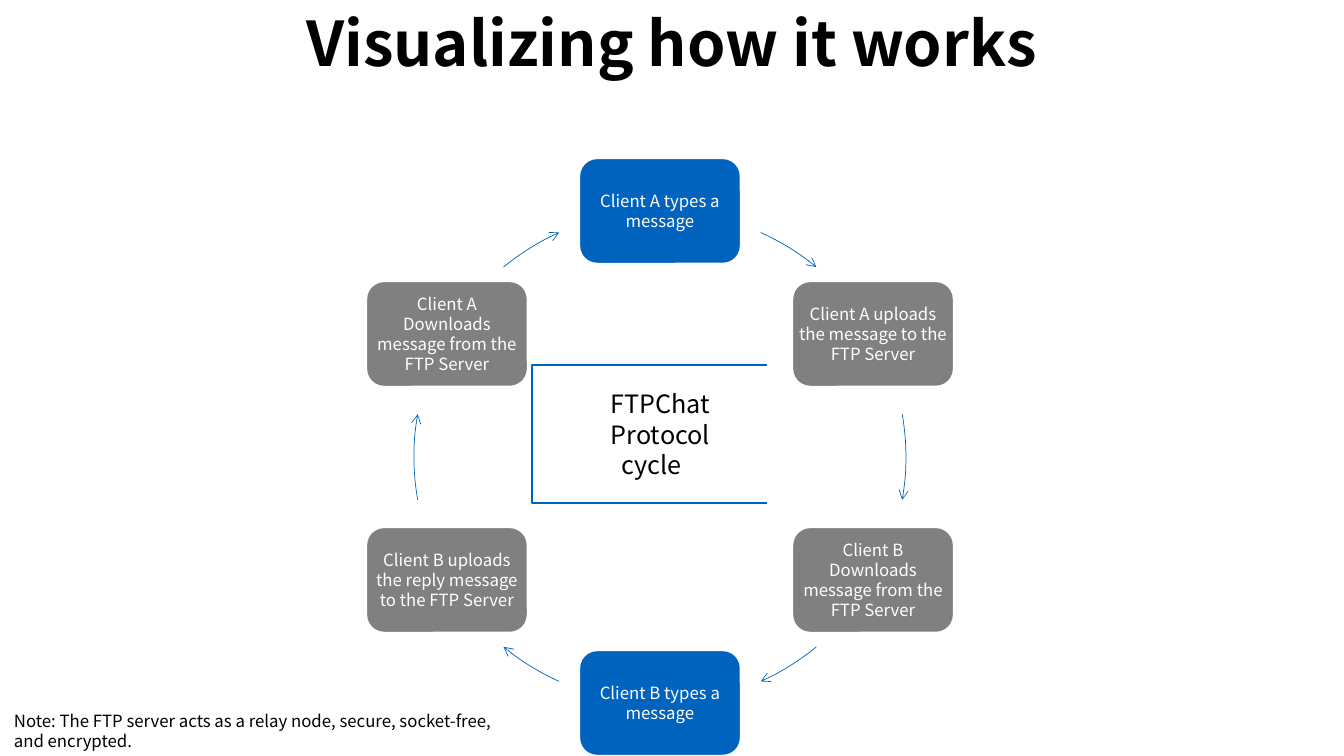
from math import cos, radians, sin

from lxml.etree import SubElement
from pptx import Presentation
from pptx.dml.color import RGBColor
from pptx.enum.shapes import MSO_SHAPE as Shape
from pptx.enum.text import MSO_ANCHOR as Anchor, MSO_AUTO_SIZE as AutoSize, PP_ALIGN as Align
from pptx.oxml.ns import qn
from pptx.util import Pt

FONT = "Noto Sans CJK SC"
BLUE, GRAY, WHITE, BLACK = "0063BE", "808080", "FFFFFF", "000000"

TITLE = "Visualizing how it works"
NOTE = "Note: The FTP server acts as a relay node, secure, socket-free, and encrypted."
HUB = ["FTPChat Protocol", "cycle"]
# Clockwise from the top: step, fill, and the (middle, half sweep) in degrees of the arrow after it
STEPS = [
    ("Client A types a message", BLUE, 301.82, 7.65),
    ("Client A uploads the message to the FTP Server", GRAY, 0, 10.03),
    ("Client B Downloads message from the FTP Server", GRAY, 58.18, 7.65),
    ("Client B types a message", BLUE, 121.82, 7.65),
    ("Client B uploads the reply message to the FTP Server", GRAY, 180, 10.03),
    ("Client A Downloads message from the FTP Server", GRAY, 238.18, 7.65),
]

SLIDE_W, SLIDE_H = 1344, 756
RING_X, RING_Y, RING_R = 660, 457, 246
STEP_W, STEP_H = 161, 105
ARC_UNITS_PER_DEGREE = 0.6  # an arc adjustment counts 60000 per degree over 100000


def px(length):
    return round(length * 914400 / 100.8)


def color(hex_string):
    return RGBColor.from_string(hex_string)


def style_text(frame, size, hex_color, align=Align.LEFT, bold=False):
    frame.word_wrap = True
    for paragraph in frame.paragraphs:
        paragraph.alignment = align
        for run in paragraph.runs:
            run.font.name = FONT
            run.font.size = Pt(size)
            run.font.bold = bold
            run.font.color.rgb = color(hex_color)


def add_text(slide, box, text, size, align=Align.LEFT, bold=False):
    frame = slide.shapes.add_textbox(*map(px, box)).text_frame
    frame.text = text
    style_text(frame, size, BLACK, align, bold)
    frame.auto_size = AutoSize.SHAPE_TO_FIT_TEXT


def add_shape(slide, preset, box, line, width, fill=None):
    shape = slide.shapes.add_shape(preset, *map(px, box))
    shape.shadow.inherit = False
    if fill:
        shape.fill.solid()
        shape.fill.fore_color.rgb = color(fill)
    else:
        shape.fill.background()
    shape.line.color.rgb = color(line)
    shape.line.width = Pt(width)
    return shape


def add_step(slide, index, text, fill):
    angle = radians(60 * index - 90)
    left = RING_X + RING_R * cos(angle) - STEP_W / 2
    top = RING_Y + RING_R * sin(angle) - STEP_H / 2
    step = add_shape(slide, Shape.ROUNDED_RECTANGLE, (left, top, STEP_W, STEP_H), WHITE, 1, fill)
    frame = step.text_frame
    frame.text = text
    frame.vertical_anchor = Anchor.MIDDLE
    frame.margin_left = frame.margin_right = frame.margin_top = frame.margin_bottom = 0
    style_text(frame, 12, WHITE, Align.CENTER)


def add_ring_arrow(slide, middle, half_sweep):
    ring = (RING_X - RING_R, RING_Y - RING_R, 2 * RING_R, 2 * RING_R)
    arrow = add_shape(slide, Shape.ARC, ring, BLUE, 0.5)
    for i, angle in enumerate((middle - half_sweep, middle + half_sweep)):
        arrow.adjustments[i] = angle % 360 * ARC_UNITS_PER_DEGREE
    SubElement(arrow.line._get_or_add_ln(), qn("a:tailEnd"), type="arrow")


def add_hub(slide):
    hub = add_shape(slide, Shape.LEFT_BRACKET, (532, 365, 235, 138), BLUE, 1.5)
    hub.adjustments[0] = 0
    frame = hub.text_frame
    frame.text = "\n".join(HUB)
    frame.vertical_anchor = Anchor.MIDDLE
    style_text(frame, 18, BLACK)
    frame.paragraphs[1]._p.get_or_add_pPr().set("marL", str(px(11)))


def main():
    deck = Presentation()
    deck.slide_width, deck.slide_height = px(SLIDE_W), px(SLIDE_H)
    slide = deck.slides.add_slide(deck.slide_layouts[6])

    add_text(slide, (0, 0, SLIDE_W, 159), TITLE, 44, Align.CENTER, bold=True)
    for index, (text, fill, middle, half_sweep) in enumerate(STEPS):
        add_step(slide, index, text, fill)
        add_ring_arrow(slide, middle, half_sweep)
    add_hub(slide)
    add_text(slide, (4, 706, 499, 50), NOTE, 12)

    deck.save("out.pptx")


if __name__ == "__main__":
    main()
